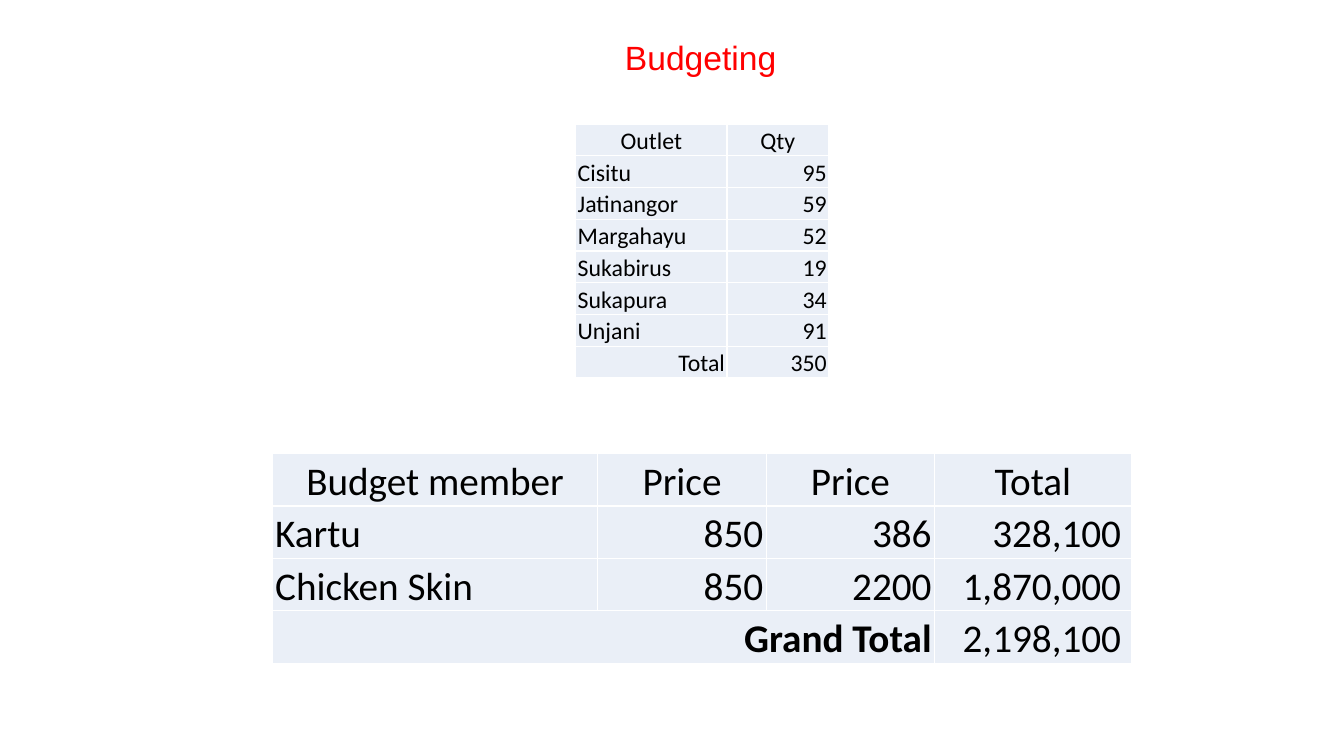
import pptx
import pptx.dml.color
import pptx.enum.text
import pptx.oxml
import pptx.oxml.ns
import pptx.util
from pptx.util import Inches

LEFT = pptx.enum.text.PP_ALIGN.LEFT
CENTER = pptx.enum.text.PP_ALIGN.CENTER
RIGHT = pptx.enum.text.PP_ALIGN.RIGHT


def set_font(paragraph, name, size, color):
    """Set the typeface, point size and hex colour of a paragraph."""
    paragraph.font.name = name
    paragraph.font.size = pptx.util.Pt(size)
    paragraph.font.color.rgb = pptx.dml.color.RGBColor.from_string(color)


def add_grid(slide, rows, left, top, widths, row_height, size, inset):
    """Add a pale table with white borders, a centred header and right-aligned numbers."""
    frame = slide.shapes.add_table(
        len(rows), len(widths), Inches(left), Inches(top),
        Inches(sum(widths)), Inches(row_height * len(rows)))
    table = frame.table
    for column, width in zip(table.columns, widths):
        column.width = Inches(width)
    for row_index, values in enumerate(rows):
        table.rows[row_index].height = Inches(row_height)
        for column_index, value in enumerate(values):
            cell = table.cell(row_index, column_index)
            cell.margin_left = cell.margin_right = cell.margin_top = Inches(inset)
            cell.margin_bottom = 0
            cell.vertical_anchor = pptx.enum.text.MSO_ANCHOR.BOTTOM
            properties = cell._tc.get_or_add_tcPr()
            for side in ("lnL", "lnR", "lnT", "lnB"):
                properties.append(pptx.oxml.parse_xml(
                    f'<a:{side} {pptx.oxml.ns.nsdecls("a")} w="12700"><a:solidFill>'
                    f'<a:srgbClr val="FFFFFF"/></a:solidFill></a:{side}>'))
            cell.fill.solid()
            cell.fill.fore_color.rgb = pptx.dml.color.RGBColor.from_string("EAEFF7")
            cell.text = value
            paragraph = cell.text_frame.paragraphs[0]
            set_font(paragraph, "Calibri", size, "000000")
            paragraph.font.bold = False
            if row_index == 0:
                paragraph.alignment = CENTER
            else:
                paragraph.alignment = LEFT if column_index == 0 else RIGHT
    return table


presentation = pptx.Presentation()
presentation.slide_width = Inches(13.33)
presentation.slide_height = Inches(7.5)
slide = presentation.slides.add_slide(presentation.slide_layouts[6])

# Title
title = slide.shapes.add_textbox(Inches(6.1), Inches(0.32), Inches(1.72), Inches(0.5))
title.text_frame.word_wrap = False
title.text_frame.auto_size = pptx.enum.text.MSO_AUTO_SIZE.SHAPE_TO_FIT_TEXT
title.text_frame.text = "Budgeting"
set_font(title.text_frame.paragraphs[0], "Arial", 24, "FF0000")

# Budget by member
budget_rows = [
    ("Budget member", "Price", "Price", "Total"),
    ("Kartu", "850", "386", "328,100"),
    ("Chicken Skin", "850", "2200", "1,870,000"),
    ("Grand Total", "", "", "2,198,100"),
]
budget = add_grid(slide, budget_rows, 2.7, 4.5, (3.23, 1.67, 1.67, 1.95), 0.52, 28, 0.03)
for row_index in range(1, len(budget_rows)):
    budget.cell(row_index, 3).margin_right = Inches(0.1)
grand_total = budget.cell(3, 0)
grand_total.merge(budget.cell(3, 2))
grand_total_label = grand_total.text_frame.paragraphs[0]
grand_total_label.alignment = RIGHT
grand_total_label.font.bold = True

# Quantity by outlet
outlet_rows = [
    ("Outlet", "Qty"),
    ("Cisitu", "95"),
    ("Jatinangor", "59"),
    ("Margahayu", "52"),
    ("Sukabirus", "19"),
    ("Sukapura", "34"),
    ("Unjani", "91"),
    ("Total", "350"),
]
outlets = add_grid(slide, outlet_rows, 5.71, 1.23, (1.5, 1.01), 2.52 / 8, 17, 0.02)
outlets.cell(7, 0).text_frame.paragraphs[0].alignment = RIGHT

presentation.save("out.pptx")
